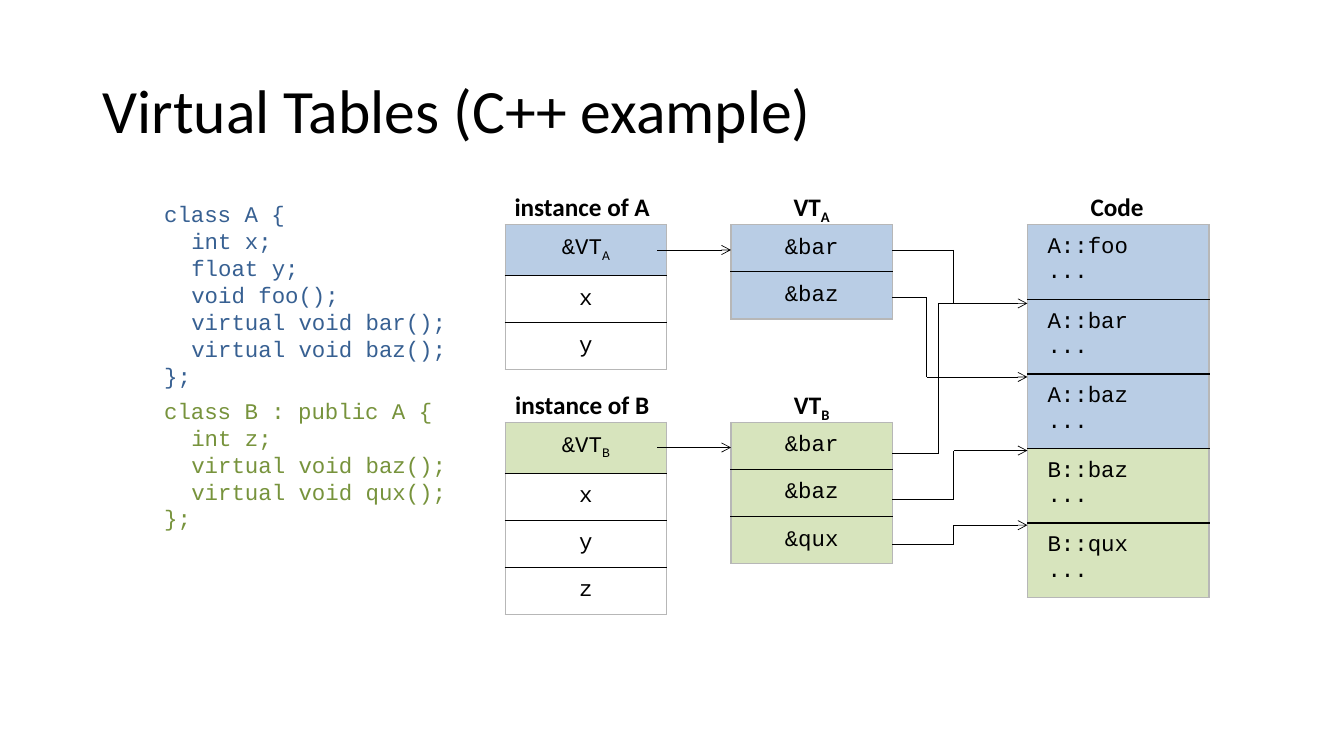
"""Build the slide that explains virtual tables in C++."""
from lxml import etree
from pptx import Presentation, util as u
from pptx.dml.color import RGBColor
from pptx.enum import shapes, text
from pptx.oxml.ns import qn

BLACK, GREY = "000000", "B7B7B7"
BLUE, GREEN = "B9CDE5", "D7E4BD"
DARK_BLUE, DARK_GREEN = "376092", "77933C"
SANS, MONO = "Calibri", "Courier New"
CENTER, LEFT = text.PP_ALIGN.CENTER, text.PP_ALIGN.LEFT
MIDDLE, TOP = text.MSO_ANCHOR.MIDDLE, text.MSO_ANCHOR.TOP


def color(value):
    return RGBColor.from_string(value)


def grid(count):
    """Turn columns or rows of a tenth of an inch into a length."""
    return u.Inches(count / 10)


class Diagram:
    """Hold the style and the slide, and draw each kind of element."""

    def __init__(self, presentation):
        self.slide = presentation.slides.add_slide(presentation.slide_layouts[6])
        self.line_width = u.Pt(0.5)
        self.border_width = u.Pt(1)
        self.code_indent = u.Inches(0.27)

    def fill_text(self, frame, lines, size, font, ink=BLACK, bold=False, align=LEFT):
        """Set the lines; an underscore starts a subscript, a tab an indent."""
        frame.text = "\n".join(line.strip().split("_")[0] for line in lines)
        for paragraph, line in zip(frame.paragraphs, lines):
            paragraph.alignment = align
            if line.startswith("\t"):
                paragraph._p.get_or_add_pPr().set("marL", str(self.code_indent))
            for subscript in line.split("_")[1:]:
                run = paragraph.add_run()
                run.text = subscript
                run.font._element.set("baseline", "-25000")
            for run in paragraph.runs:
                run.font.size, run.font.name, run.font.bold = u.Pt(size), font, bold
                run.font.color.rgb = color(ink)

    def textbox(self, place, lines, size, font, wrap=True, anchor=TOP, **style):
        shape = self.slide.shapes.add_textbox(*map(grid, place))
        frame = shape.text_frame
        frame.word_wrap, frame.vertical_anchor = wrap, anchor
        self.fill_text(frame, lines, size, font, **style)
        return frame

    def heading(self, left, top, width, label):
        self.textbox((left, top, width, 4), [label], 18, SANS, wrap=False,
                     bold=True, align=CENTER)

    def border(self, cell, edges):
        """Draw the four cell borders in the order left, right, top, bottom."""
        properties = cell._tc.get_or_add_tcPr()
        for position, (side, ink) in enumerate(zip("LRTB", edges)):
            line = etree.Element(qn("a:ln" + side), w=str(self.border_width))
            fill = etree.SubElement(line, qn("a:solidFill"))
            etree.SubElement(fill, qn("a:srgbClr"), val=ink)
            properties.insert(position, line)

    def table(self, left, top, width, row_height, cells, align=CENTER, anchor=MIDDLE):
        """Draw a one-column table from pairs of text and fill."""
        count = len(cells)
        table = self.slide.shapes.add_table(
            count, 1, *map(grid, (left, top, width, row_height * count))).table
        table.first_row = table.horz_banding = False
        for index, (label, fill) in enumerate(cells):
            table.rows[index].height = grid(row_height)
            cell = table.cell(index, 0)
            cell.margin_left = cell.margin_right = grid(2)
            cell.margin_top = cell.margin_bottom = grid(1)
            cell.vertical_anchor = anchor
            self.fill_text(cell.text_frame, label.split("\n"), 16, MONO, align=align)
            if fill:
                cell.fill.solid()
                cell.fill.fore_color.rgb = color(fill)
            else:
                cell.fill.background()
            self.border(cell, (GREY, GREY, BLACK if index else GREY,
                               BLACK if index < count - 1 else GREY))

    def line(self, start, end, arrow=False):
        connector = self.slide.shapes.add_connector(
            shapes.MSO_CONNECTOR.STRAIGHT, *map(grid, start + end))
        connector.line.width = self.line_width
        connector.line.color.rgb = color(BLACK)
        if arrow:
            etree.SubElement(connector.line._get_or_add_ln(), qn("a:tailEnd"), type="arrow")
        etree.SubElement(connector._element.spPr, qn("a:effectLst"))

    def route(self, points, arrow=True):
        """Join the points with lines and put the arrowhead on the last."""
        for index in range(1, len(points)):
            self.line(points[index - 1], points[index],
                      arrow and index == len(points) - 1)


def main():
    presentation = Presentation()
    presentation.slide_width, presentation.slide_height = u.Inches(13.33), u.Inches(7.5)
    diagram = Diagram(presentation)

    title = diagram.textbox((9.2, 4, 115, 14.5), ["Virtual Tables (C++ example)"],
                            44, SANS, anchor=MIDDLE)
    title.paragraphs[0].line_spacing = 0.9

    class_a = ["class A {", "\tint x;", "\tfloat y;", "\tvoid foo();",
               "\tvirtual void bar();", "\tvirtual void baz();", "};"]
    class_b = ["class B : public A {", "\tint z;", "\tvirtual void baz();",
               "\tvirtual void qux();", "};"]
    diagram.textbox((15.3, 19.4, 33.3, 19.9), class_a, 16, MONO, ink=DARK_BLUE)
    diagram.textbox((15.3, 38.9, 33.3, 14.5), class_b, 16, MONO, ink=DARK_GREEN)

    instance_left, table_left, code_left = 50.1, 72.5, 101.9
    families = [("A", 22.3, BLUE, "xy", ["&bar", "&baz"]),
                ("B", 41.9, GREEN, "xyz", ["&bar", "&baz", "&qux"])]
    for name, top, fill, fields, methods in families:
        diagram.heading(48.7, top - 3.8, 18.1, "instance of " + name)
        diagram.heading(76.6, top - 3.8, 7.8, "VT_" + name)
        diagram.table(instance_left, top, 16, 4.67,
                      [("&VT_" + name, fill)] + [(field, None) for field in fields])
        diagram.table(table_left, top, 16, 4.67, [(method, fill) for method in methods])
        diagram.line((65.2, top + 2.5), (table_left, top + 2.5), arrow=True)

    diagram.heading(106, 18.5, 9.6, "Code")
    code = [("A::foo", BLUE), ("A::bar", BLUE), ("A::baz", BLUE),
            ("B::baz", GREEN), ("B::qux", GREEN)]
    diagram.table(code_left, 22.3, 18, 7.4,
                  [(label + "\n...", fill) for label, fill in code], LEFT, TOP)

    pointer_left = table_left + 16
    turns = [(24.8, 94.6, 30.1), (29.5, 91.9, 37.4),
             (49.5, 94.6, 44.7), (54, 94.6, 52.1)]
    for start, turn, end in turns:
        diagram.route([(pointer_left, start), (turn, start), (turn, end), (code_left, end)])
    diagram.route([(pointer_left, 45), (93.1, 45), (93.1, 30.1), (94.6, 30.1)], arrow=False)

    presentation.save("out.pptx")


main()
